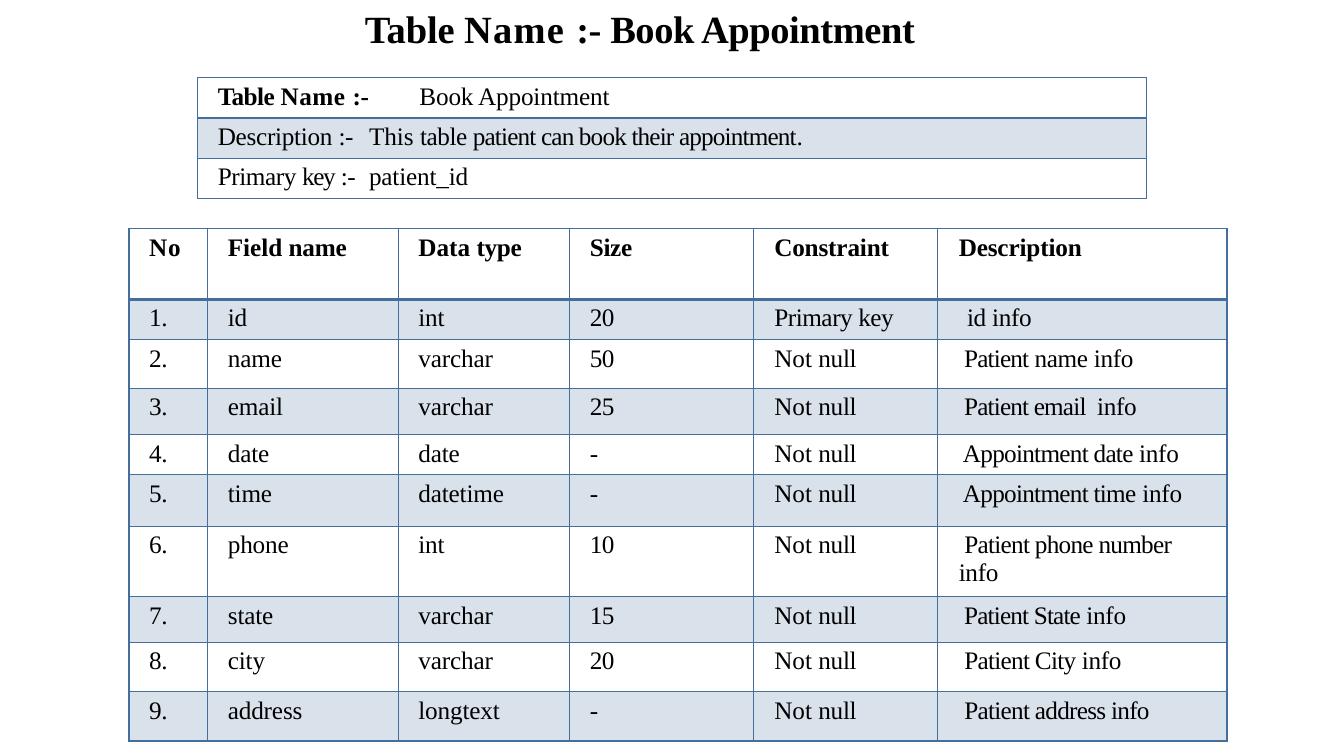
from dataclasses import dataclass
from typing import Any

from lxml import etree
from pptx import Presentation
from pptx import util as u
from pptx.dml import color
from pptx.enum import text as txt
from pptx.oxml import ns

HUES = {"ink": "000000", "rule": "446F9D"}
FACE = "Times New Roman"
THIN, THICK = 0.96, 2.21
NOT_NULL = (("Not ", 0), ("null", -0.2))
INFO = ("info", -0.2)

Runs = tuple[tuple[str, float], ...]


@dataclass
class Row:
    high: float
    gap: float
    cells: tuple[Runs, ...]
    tab: float = 0
    bold: int = 0  # leading runs of each cell set in bold


@dataclass
class Grid:
    left: float
    top: float
    high: float
    cols: tuple[float, ...]
    rows: list[Row]


def field(no: int, high: float, gap: float, name: str, kind: str, size: str,
          about: Runs, rule: Runs = NOT_NULL) -> Row:
    return Row(high, gap, (((f"{no}.", -0.3),), ((name, -0.1),), ((kind, -0.1),),
                           ((size, -0.3),), rule, about))


# Content
TITLE: Runs = (("Table ", -0.1), ("Name ", 0.9), (":- Book Appointment", -0.3))

HEAD = Grid(1.96, 0.77, 1.2, (9.41,), [
    Row(0.4, 2.2, ((("Table ", -0.4), ("Name ", 0.4), (":-\t", -0.3),
                    ("Book Appointment", -0.1)),), 2.69, 3),
    Row(0.4, 2.2, ((("Description ", -0.2), (":-", -0.3), ("\tThis ", 0),
                    ("table", -0.3), (" patient can book their appointment", -0.6),
                    (".", -0.1)),), 2.69),
    Row(0.4, 2.3, ((("Primary ", -0.3), ("key ", -1), (":-\t", -0.3),
                    ("patient_id", -0.1)),), 2.71),
])

FIELDS = Grid(1.28, 2.27, 5.08, (0.78, 1.89, 1.7, 1.82, 1.83, 2.87), [
    Row(0.7, 2.4, ((("No", 0.5),), (("Field ", 0), ("name", -0.2)),
                   (("Data ", 0), ("type", -0.2)), (("Size", -0.2),),
                   (("Constraint", -0.1),), (("Description", -0.1),)), bold=2),
    field(1, 0.3, 2.4, "id", "int", "20", ((" ", 1.4), ("id info", -0.2)),
          (("Primary key", -0.3),)),
    field(2, 0.48, 2.4, "name", "varchar", "50",
          ((" Patient ", -0.6), ("name ", -0.3), INFO)),
    field(3, 0.46, 2.5, "email", "varchar", "25",
          ((" Patient email", -0.6), (" ", 3), INFO)),
    field(4, 0.36, 2.5, "date", "date", "-", ((" Appointment date ", -0.5), INFO)),
    field(5, 0.51, 2.6, "time", "datetime", "-",
          ((" Appointment time", -0.5), (" info", -0.2))),
    field(6, 0.54, 2.6, "phone", "int", "10",
          ((" Patient phone number", -0.5), (" ", 4), INFO)),
    field(7, 0.45, 2.6, "state", "varchar", "15", ((" Patient State ", -0.6), INFO)),
    field(8, 0.49, 2.7, "city", "varchar", "20", ((" Patient City ", -0.5), INFO)),
    field(9, 0.49, 2.8, "address", "longtext", "-", ((" Patient address info", -0.5),)),
])


# Helpers
def put(item: Any, form: dict[str, Any]) -> None:
    for key, value in form.items():
        setattr(item, key, value)


def write(para: Any, runs: Runs, size: float, bold: int) -> None:
    for i, (words, space) in enumerate(runs):
        run = para.add_run()
        run.text = words
        put(run.font, {"name": FACE, "size": u.Pt(size), "bold": i < bold})
        run.font.color.rgb = color.RGBColor.from_string(HUES["ink"])
        run.font._element.set("spc", str(round(space * 100)))


def indent(para: Any, left: float, tab: float) -> None:
    props = para._p.get_or_add_pPr()
    props.set("marL", str(u.Inches(left)))
    props.set("indent", "0")
    if tab:
        tabs = etree.SubElement(props, ns.qn("a:tabLst"))
        etree.SubElement(tabs, ns.qn("a:tab"), pos=str(u.Inches(tab)), algn="l")


def edge(cell: Any, widths: dict[str, float]) -> None:
    props = cell._tc.get_or_add_tcPr()
    for i, (side, wide) in enumerate(widths.items()):
        line = etree.Element(ns.qn(f"a:ln{side}"), w=str(u.Pt(wide)))
        fill = etree.SubElement(line, ns.qn("a:solidFill"))
        etree.SubElement(fill, ns.qn("a:srgbClr"), val=HUES["rule"])
        props.insert(i, line)


def paint(cell: Any, band: bool) -> None:
    if not band:
        cell.fill.background()
        return
    cell.fill.solid()
    cell.fill.fore_color.rgb = color.RGBColor.from_string(HUES["rule"])
    tint = cell._tc.tcPr.find(".//" + ns.qn("a:srgbClr"))
    etree.SubElement(tint, ns.qn("a:alpha"), val="20000")


def draw(slide: Any, grid: Grid) -> None:
    frame = slide.shapes.add_table(
        len(grid.rows), len(grid.cols), u.Inches(grid.left), u.Inches(grid.top),
        u.Inches(sum(grid.cols)), u.Inches(grid.high))
    table = frame.table
    put(table, {"first_row": False, "horz_banding": False})
    for col, wide in zip(table.columns, grid.cols):
        col.width = u.Inches(wide)
    for r, row in enumerate(grid.rows):
        table.rows[r].height = u.Inches(row.high)
        for c, runs in enumerate(row.cells):
            cell = table.cell(r, c)
            para = cell.text_frame.paragraphs[0]
            para.space_before = u.Pt(row.gap)
            indent(para, 0.11 if c > 3 else 0.1, row.tab)
            write(para, runs, 18, row.bold)
            paint(cell, r % 2 == 1)
            edge(cell, {"L": THIN, "R": THIN, "T": THICK if r == 1 else THIN,
                        "B": THICK if r == 0 else THIN})
    frame.height = u.Inches(grid.high)


def main() -> None:
    deck = Presentation()
    put(deck, {"slide_width": u.Inches(13.33), "slide_height": u.Inches(7.5)})
    slide = deck.slides.add_slide(deck.slide_layouts[6])

    # Title
    box = slide.shapes.add_textbox(u.Inches(3.52), 0, u.Inches(6.66), u.Inches(0.56))
    put(box.text_frame, {"word_wrap": True,
                         "auto_size": txt.MSO_AUTO_SIZE.SHAPE_TO_FIT_TEXT})
    write(box.text_frame.paragraphs[0], TITLE, 27.5, len(TITLE))

    # Tables
    for grid in (HEAD, FIELDS):
        draw(slide, grid)
    deck.save("out.pptx")


if __name__ == "__main__":
    main()
